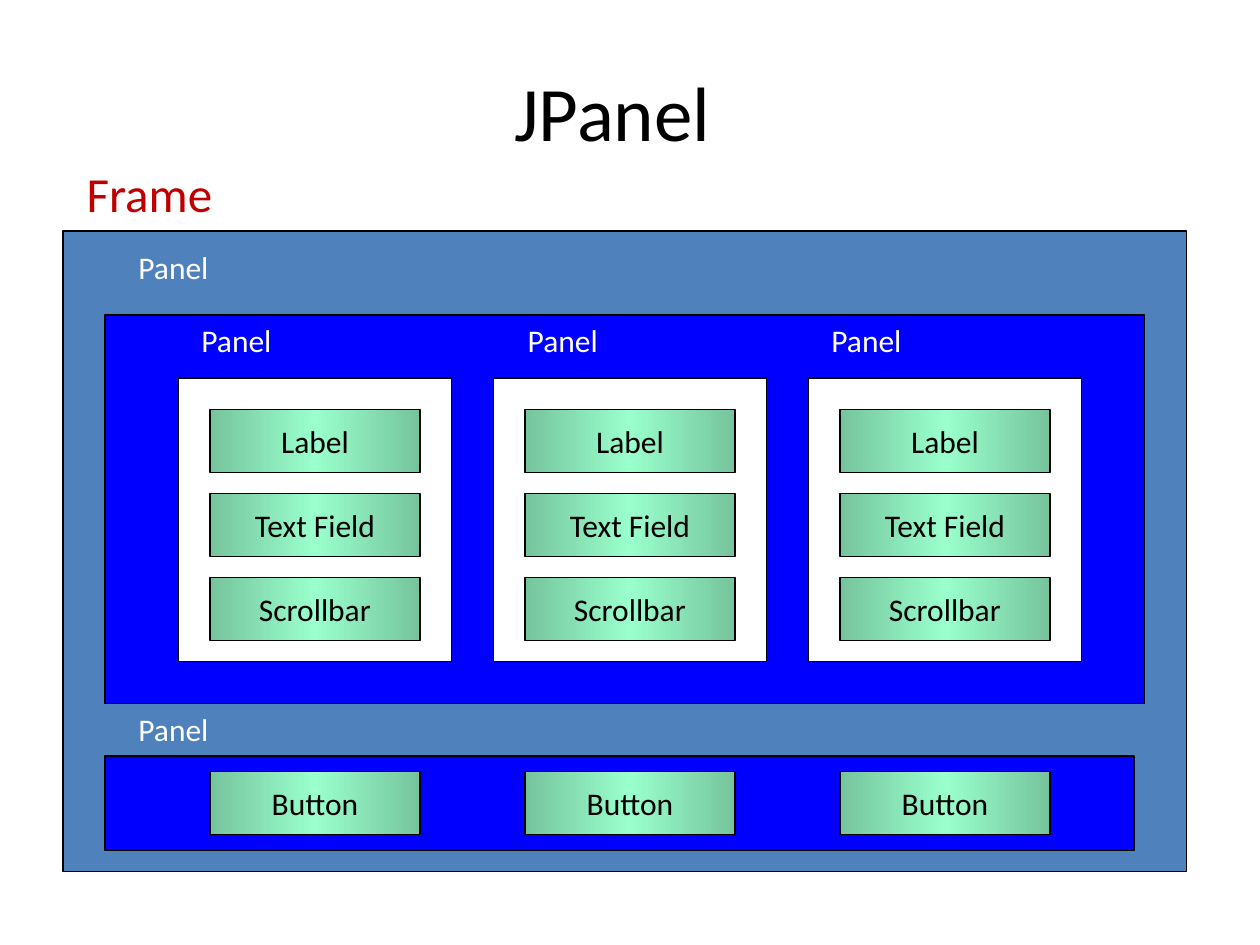
from copy import deepcopy

from pptx import Presentation
from pptx.dml.color import RGBColor
from pptx.enum.shapes import MSO_SHAPE
from pptx.enum.text import MSO_ANCHOR, MSO_AUTO_SIZE, PP_ALIGN
from pptx.oxml.ns import qn
from pptx.util import Pt

RECT = MSO_SHAPE.RECTANGLE
MIDDLE = MSO_ANCHOR.MIDDLE
FIT = MSO_AUTO_SIZE.SHAPE_TO_FIT_TEXT
LEFT, CENTER = PP_ALIGN.LEFT, PP_ALIGN.CENTER

COLORS = {
    "black": "000000",
    "white": "FFFFFF",
    "red": "C00000",
    "frame": "4F81BD",
    "panel": "0000FF",
    "edge": "76C49D",
    "mint": "99FFCC",
}
RGB = {name: RGBColor.from_string(code) for name, code in COLORS.items()}


def add_box(x, y, w, h, color):
    """Add an outlined rectangle with a plain fill."""
    box = slide.shapes.add_shape(RECT, Pt(x), Pt(y), Pt(w), Pt(h))
    box.shadow.inherit = False
    box.fill.solid()
    box.fill.fore_color.rgb = RGB[color]
    box.line.color.rgb = RGB["black"]
    box.line.width = Pt(0.74)
    return box


def write(shape, text, size, color, align=LEFT):
    """Put one line of text into a shape."""
    frame = shape.text_frame
    frame.word_wrap = False
    para = frame.paragraphs[0]
    para.alignment = align
    run = para.add_run()
    run.text = text
    run.font.size = Pt(size)
    run.font.name = "Calibri"
    run.font.color.rgb = RGB[color]
    return frame


prs = Presentation()
prs.slide_width, prs.slide_height = Pt(720), Pt(540)
slide = prs.slides.add_slide(prs.slide_layouts[6])

# Title, centred a little left of the middle
title = slide.shapes.add_textbox(Pt(54), Pt(18), Pt(612), Pt(90))
frame = write(title, "JPanel", 44, "black", CENTER)
frame.word_wrap = True
frame.vertical_anchor = MIDDLE
frame.margin_right = Pt(27)

# Frame, its two panels and the three inner panels
add_box(36, 132, 642, 366, "frame")
add_box(60, 180, 594, 222, "panel")
add_box(60, 432, 588, 54, "panel")
for col in range(3):
    add_box(102 + 180 * col, 216, 156, 162, "white")

# Captions
captions = [("Frame", 42.5, 90, 86.4, 41, 28, "red")]
for x, y in [(72, 138), (72, 402), (108, 180), (294.5, 180), (468, 180)]:
    captions.append(("Panel", x, y, 54.7, 29, 18, "white"))
for text, x, y, w, h, size, color in captions:
    label = slide.shapes.add_textbox(Pt(x), Pt(y), Pt(w), Pt(h))
    write(label, text, size, color).auto_size = FIT

# Widgets, the same four rows in each column
rows = [("Label", 234), ("Text Field", 282), ("Scrollbar", 330), ("Button", 441)]
for col in range(3):
    for text, y in rows:
        part = add_box(120 + 180 * col, y, 120, 36, "mint")
        part.fill.gradient()
        grad = part.fill._xPr.find(qn("a:gradFill"))
        grad.find(qn("a:lin")).set("ang", "0")
        stops = grad.find(qn("a:gsLst"))
        stops.insert(1, deepcopy(stops[0]))
        tones = [(0, "edge"), (0.5, "mint"), (1, "edge")]
        for stop, (pos, tone) in zip(part.fill.gradient_stops, tones):
            stop.position = pos
            stop.color.rgb = RGB[tone]
        write(part, text, 18, "black", CENTER).vertical_anchor = MIDDLE

prs.save("out.pptx")
